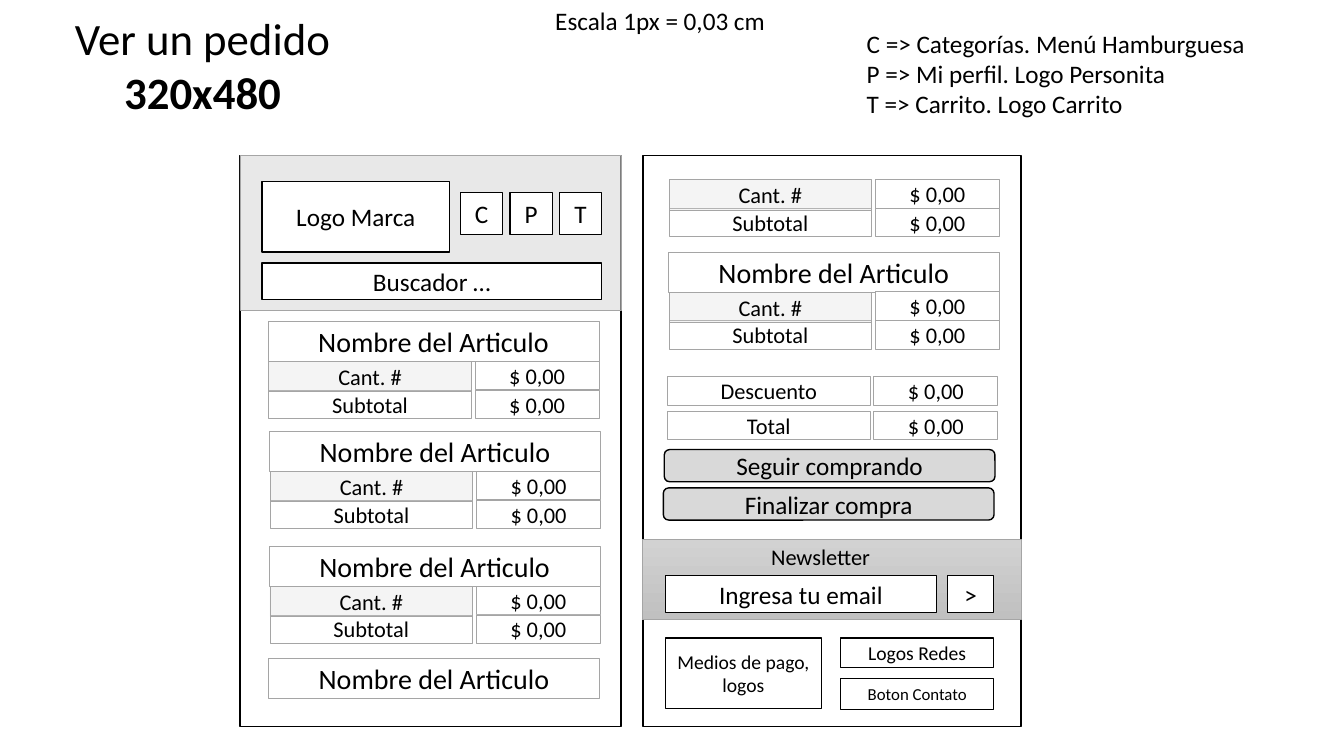
from lxml import etree
from pptx import Presentation
from pptx.dml.color import RGBColor
from pptx.enum import shapes, text
from pptx.oxml import ns
from pptx.util import Pt

BLACK, WHITE, GRAY, LIGHT = "000000", "FFFFFF", "A5A5A5", "D9D9D9"
CENTER, LEFT = text.PP_ALIGN.CENTER, text.PP_ALIGN.LEFT

# Boxes in points: left, top, width, height
RIGHT_SCREEN = (459.4, 110.9, 270, 408.2)
LEFT_SCREEN = (171.4, 110.9, 272.2, 408.2)
HEADER = (171.4, 110.9, 272.2, 110.9)
NEWSLETTER = (458.6, 385.2, 270.7, 57.6)
NEWSLETTER_TITLE = (468, 384.5, 236.2, 26.6)

# Label, font size, box
CONTROLS = [
    ("Logo Marca", 18, (187.2, 129.6, 133.9, 50.4)),
    ("Buscador …", 18, (187.2, 187.9, 242.6, 25.9)),
    ("Ingresa tu email", 18, (475.2, 411.1, 193.7, 26.6)),
    (">", 18, (676.8, 411.1, 33.1, 26.6)),
    ("Medios de pago, logos", 14, (475.2, 455.8, 111.6, 50.4)),
    ("Logos Redes", 14, (600.5, 455.8, 109.4, 20.9)),
    ("Boton Contato", 12, (600.5, 484.6, 109.4, 22.3)),
]
ICONS, ICON_LEFT, ICON_TOP, ICON_SIZE, ICON_STEP = "CPT", 329, 137.5, 30.2, 35.3

# Left, top, has a name, has amounts
ARTICLES = [
    (191.6, 229.7, True, True),
    (192.6, 308.3, True, True),
    (192.4, 390.2, True, True),
    (191.9, 470.2, True, False),
    (477.5, 99.9, False, True),
    (477.5, 180, True, True),
]
NAME_W, NAME_H = 236.2, 28.8
LABEL_W, PRICE_W, PRICE_OFFSET = 144.7, 88.6, 147.4
ROW_H, ROW_STEP = 20.2, 20.6
TOTALS = [("Descuento", 269), ("Total", 293.8)]
TOTALS_LEFT = 476.8
BUTTONS = [("Seguir comprando", 474.5, 321.1), ("Finalizar compra", 473.8, 348.5)]

TITLE = [("Ver un pedido", False), ("320x480", True)]
LEGEND = [("C => Categorías. Menú Hamburguesa", False),
          ("P => Mi perfil. Logo Personita", False),
          ("T => Carrito. Logo Carrito", False)]
SCALE = [("Escala 1px = 0,03 cm", False)]

deck = Presentation()
deck.slide_width, deck.slide_height = Pt(960), Pt(540)
slide = deck.slides.add_slide(deck.slide_layouts[6])


def rgb(color):
    return RGBColor.from_string(color)


def write(frame, lines, size, align):
    for i, (line, bold) in enumerate(lines):
        paragraph = frame.paragraphs[0] if i == 0 else frame.add_paragraph()
        paragraph.alignment = align
        run = paragraph.add_run()
        run.text = line
        run.font.name, run.font.size, run.font.bold = "Calibri", Pt(size), bold
        run.font.color.rgb = rgb(BLACK)


def box(bounds, label="", size=18, fill=WHITE, line=BLACK, opacity=100,
        kind=shapes.MSO_SHAPE.RECTANGLE):
    shape = slide.shapes.add_shape(kind, *map(Pt, bounds))
    shape.shadow.inherit = False
    shape.fill.solid()
    shape.fill.fore_color.rgb = rgb(fill)
    if opacity < 100:
        color = shape.fill._xPr.find(".//" + ns.qn("a:srgbClr"))
        etree.SubElement(color, ns.qn("a:alpha"), val=str(opacity * 1000))
    shape.line.color.rgb = rgb(line)
    shape.line.width = Pt(1 if line == BLACK else 0.5)
    if label:
        shape.text_frame.word_wrap = True
        shape.text_frame.vertical_anchor = text.MSO_ANCHOR.MIDDLE
        write(shape.text_frame, [(label, False)], size, CENTER)
    return shape


def caption(bounds, lines, size, align, wrap=False):
    frame = slide.shapes.add_textbox(*map(Pt, bounds)).text_frame
    frame.word_wrap = wrap
    frame.auto_size = text.MSO_AUTO_SIZE.SHAPE_TO_FIT_TEXT
    write(frame, lines, size, align)


def amount_row(left, top, label):
    """Draw a label cell and its price cell."""
    box((left, top, LABEL_W, ROW_H), label, 16, line=GRAY)
    price(left, top)


def price(left, top):
    box((left + PRICE_OFFSET, top, PRICE_W, ROW_H), "$ 0,00", 16, line=GRAY)


box(RIGHT_SCREEN)
newsletter = box(NEWSLETTER, line=GRAY)
newsletter.fill.gradient()
newsletter.fill.gradient_angle = 270
for stop, shade in zip(newsletter.fill.gradient_stops, ("D2D2D2", "C0C0C0")):
    stop.color.rgb = rgb(shade)
box(LEFT_SCREEN)
box(HEADER, fill=LIGHT, line=GRAY, opacity=58)

for label, size, bounds in CONTROLS:
    box(bounds, label, size)
for i, icon in enumerate(ICONS):
    box((ICON_LEFT + i * ICON_STEP, ICON_TOP, ICON_SIZE, ICON_SIZE), icon)

for left, top, has_name, has_amounts in ARTICLES:
    if has_name:
        box((left, top, NAME_W, NAME_H), "Nombre del Articulo", 20, line=GRAY)
    if has_amounts:
        first = top + NAME_H - 0.4
        price(left + 0.4, first)
        amount_row(left + 0.4, first + ROW_STEP, "Subtotal")
        box((left + 0.4, first + 0.2, LABEL_W, 21.6), "Cant. #", 16, LIGHT, GRAY, 28)

for label, top in TOTALS:
    amount_row(TOTALS_LEFT, top, label)
for label, left, top in BUTTONS:
    box((left, top, NAME_W, 23), label, fill=LIGHT,
        kind=shapes.MSO_SHAPE.ROUNDED_RECTANGLE)

caption(NEWSLETTER_TITLE, [("Newsletter", False)], 16, CENTER, wrap=True)
caption((45.4, 4.3, 198.7, 85), TITLE, 32, CENTER)
caption((612, 16.6, 288, 72.7), LEGEND, 18, LEFT)
caption((389.5, 0, 166.3, 28.8), SCALE, 18, LEFT)

deck.save("out.pptx")
